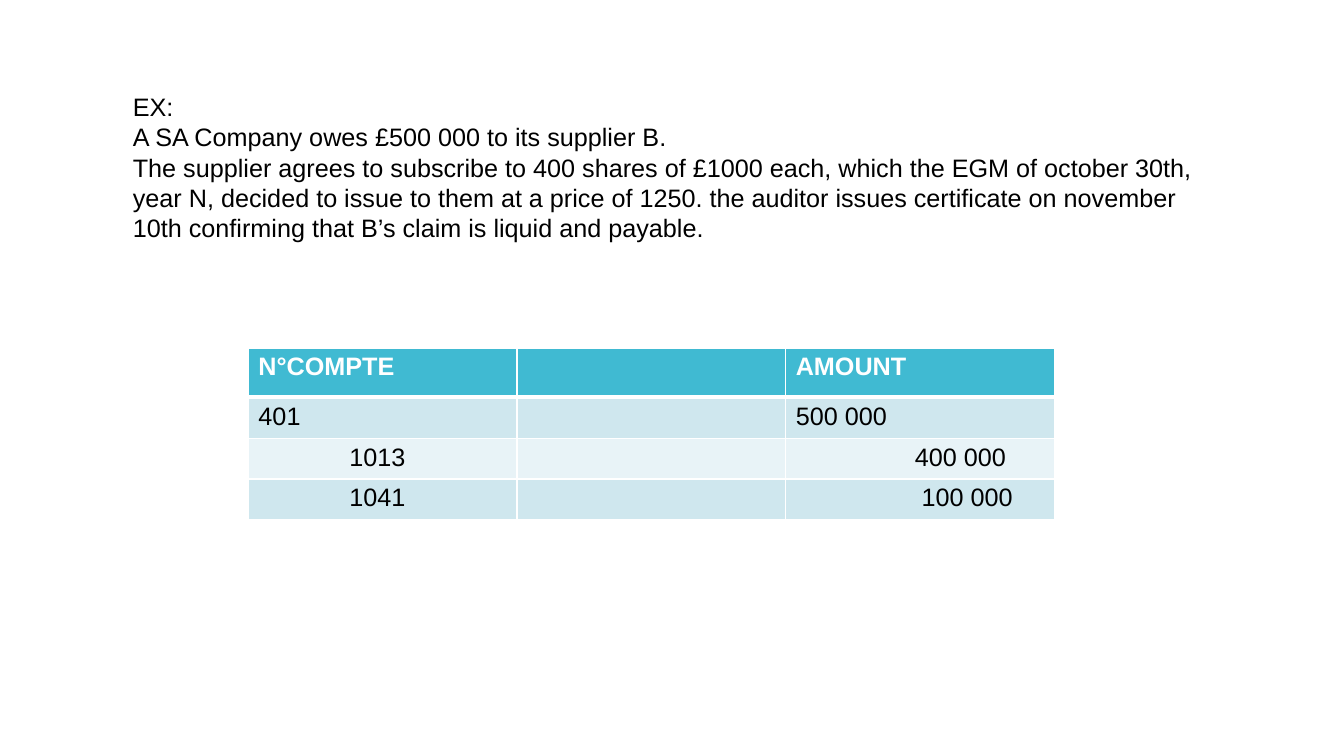
from lxml import etree
from pptx import Presentation
from pptx.dml.color import RGBColor
from pptx.enum.text import MSO_ANCHOR, MSO_AUTO_SIZE
from pptx.oxml.ns import qn
from pptx.util import Cm, Pt

TOP = MSO_ANCHOR.TOP
GROW = MSO_AUTO_SIZE.SHAPE_TO_FIT_TEXT

# Content
EXAMPLE = [
    "EX:",
    "A SA Company owes £500 000 to its supplier B.",
    "The supplier agrees to subscribe to 400 shares of £1000 each, which the EGM of "
    "october 30th, year N, decided to issue to them at a price of 1250. the auditor "
    "issues certificate on november 10th confirming that B’s claim is liquid and payable.",
]
# Each cell: text, left indent in cm
ENTRIES = [
    [("N°COMPTE", 0), ("", 0), ("AMOUNT", 0)],
    [("401", 0), ("", 0), ("500 000", 0)],
    [("1013", 2.29), ("", 0), ("400 000", 3)],
    [("1041", 2.29), ("", 0), ("100 000", 3.17)],
]

THEME = {
    "font": "Arial",
    "size": Pt(18),
    "text": RGBColor.from_string("000000"),
    "header_text": RGBColor.from_string("FFFFFF"),
    "header": RGBColor.from_string("40BAD2"),
    "bands": [RGBColor.from_string("CFE7EE"), RGBColor.from_string("E8F3F7")],
    "border": "FFFFFF",
    "thin": Pt(1),
    "thick": Pt(3),
}
HEADER_HEIGHT, ROW_HEIGHT, COLUMN_WIDTH = Cm(1.24), Cm(1.03), Cm(6.77)


def add_run(paragraph, text, color, bold=False):
    run = paragraph.add_run()
    run.text = text
    run.font.name = THEME["font"]
    run.font.size = THEME["size"]
    run.font.bold = bold
    run.font.color.rgb = color


def add_border(cell, side, width):
    properties = cell._tc.get_or_add_tcPr()
    line = etree.SubElement(properties, qn(f"a:ln{side}"), w=str(int(width)))
    fill = etree.SubElement(line, qn("a:solidFill"))
    etree.SubElement(fill, qn("a:srgbClr"), val=THEME["border"])


presentation = Presentation()
presentation.slide_width, presentation.slide_height = Cm(33.87), Cm(19.05)
slide = presentation.slides.add_slide(presentation.slide_layouts[6])

# Example text
text_box = slide.shapes.add_textbox(Cm(3.1), Cm(2.18), Cm(27.64), Cm(4.11))
frame = text_box.text_frame
frame.word_wrap = True
frame.auto_size = GROW
for index, line_text in enumerate(EXAMPLE):
    paragraph = frame.add_paragraph() if index else frame.paragraphs[0]
    add_run(paragraph, line_text, THEME["text"])

# Journal entry table
row_count, column_count = len(ENTRIES), len(ENTRIES[0])
table = slide.shapes.add_table(
    row_count, column_count, Cm(6.26), Cm(8.77),
    COLUMN_WIDTH * column_count, HEADER_HEIGHT + ROW_HEIGHT * (row_count - 1),
).table
for column in table.columns:
    column.width = COLUMN_WIDTH

for row_index, entry in enumerate(ENTRIES):
    is_header = row_index == 0
    table.rows[row_index].height = HEADER_HEIGHT if is_header else ROW_HEIGHT
    fill_color = THEME["header"] if is_header else THEME["bands"][(row_index - 1) % 2]
    text_color = THEME["header_text"] if is_header else THEME["text"]
    for column_index, (cell_text, indent) in enumerate(entry):
        cell = table.cell(row_index, column_index)
        cell.vertical_anchor = TOP
        add_border(cell, "L", THEME["thin"])
        add_border(cell, "R", THEME["thin"])
        add_border(cell, "T", THEME["thick"] if row_index == 1 else THEME["thin"])
        add_border(cell, "B", THEME["thick"] if is_header else THEME["thin"])
        cell.fill.solid()
        cell.fill.fore_color.rgb = fill_color
        paragraph = cell.text_frame.paragraphs[0]
        paragraph.font.size = THEME["size"]
        if indent:
            paragraph._p.get_or_add_pPr().set("marL", str(int(Cm(indent))))
        if cell_text:
            add_run(paragraph, cell_text, text_color, bold=is_header)

presentation.save("out.pptx")
